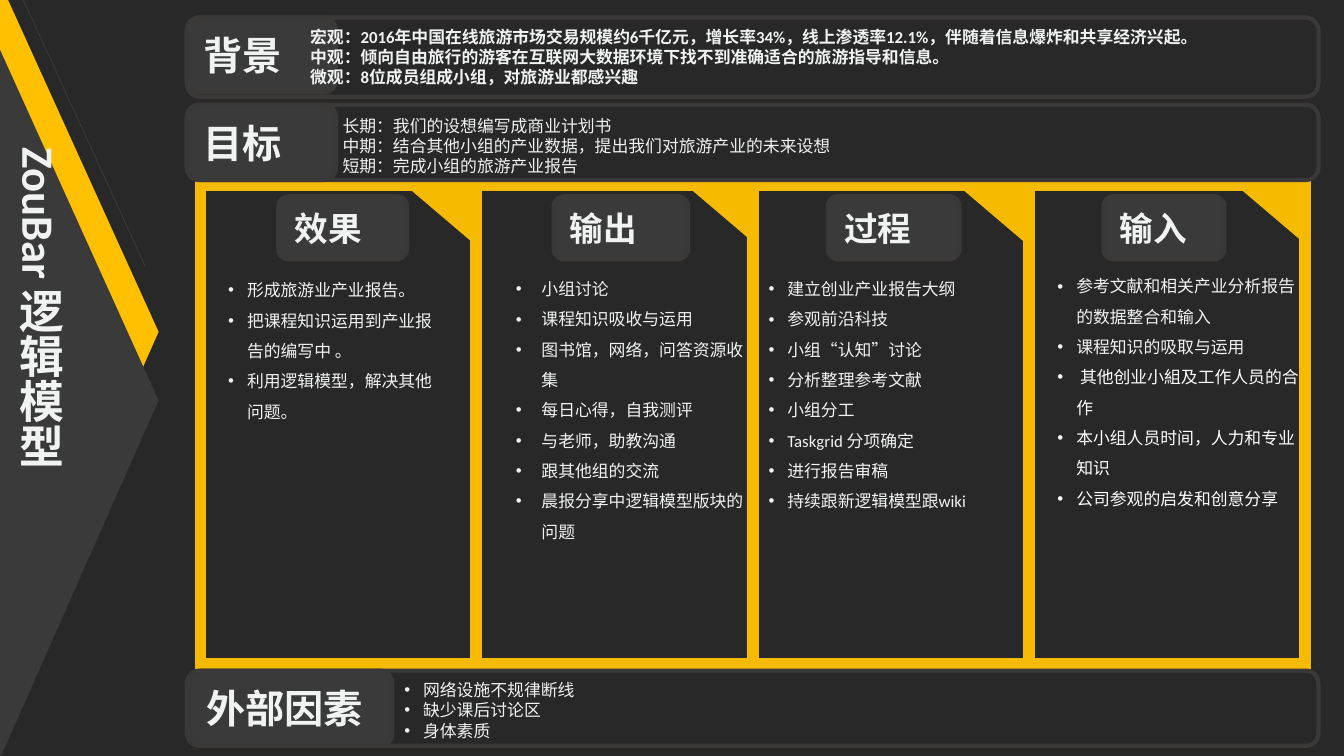
from lxml import etree
from pptx import Presentation
from pptx.dml.color import RGBColor
from pptx.enum.shapes import MSO_CONNECTOR, MSO_SHAPE
from pptx.enum.text import MSO_ANCHOR, MSO_AUTO_SIZE, PP_ALIGN
from pptx.oxml.ns import qn
from pptx.util import Inches, Pt

RECT = MSO_SHAPE.RECTANGLE
ROUND = MSO_SHAPE.ROUNDED_RECTANGLE
CORNER = MSO_SHAPE.RIGHT_TRIANGLE
LINE = MSO_CONNECTOR.STRAIGHT
TOP, MIDDLE = MSO_ANCHOR.TOP, MSO_ANCHOR.MIDDLE
GROW = MSO_AUTO_SIZE.SHAPE_TO_FIT_TEXT
LEFT, CENTER = PP_ALIGN.LEFT, PP_ALIGN.CENTER

COLORS = {
    "back": "282828", "gold": "F6BB00", "amber": "FFC001", "gray": "3A3A3A",
    "edge": "3B3838", "text": "F1F3F2", "white": "FFFFFF",
}

BANDS = [
    ("目标", 1.39, 0.78, 1.11, 0.56),
    ("背景", 1.39, 0.13, 1.11, 0.59),
    ("外部因素", 1.41, 4.99, 1.51, 0.56),
]

COLUMNS = [
    ("效果", (2.07, 0.96), (3.04, 1.39), (1.6, 1.96, 1.77, 1.24), 0.14, [
        "形成旅游业产业报告。",
        "把课程知识运用到产业报告的编写中\u00a0。",
        "利用逻辑模型，解决其他问题。",
    ]),
    ("输出", (4.12, 1), (5.13, 1.39), (3.74, 1.95, 1.89, 2.15), 0.19, [
        "小组讨论",
        "课程知识吸收与运用",
        "图书馆，网络，问答资源收集",
        "每日心得，自我测评",
        "与老师，助教沟通",
        "跟其他组的交流",
        "晨报分享中逻辑模型版块的问题",
    ]),
    ("过程", (6.16, 0.98), (7.15, 1.39), (5.62, 1.95, 2.14, 1.92), 0.14, [
        "建立创业产业报告大纲",
        "参观前沿科技",
        "小组“认知”讨论",
        "分析整理参考文献",
        "小组分工",
        "Taskgrid 分项确定",
        "进行报告审稿",
        "持续跟新逻辑模型跟wiki",
    ]),
    ("输入", (8.21, 0.9), (9.21, 1.38), (7.77, 1.93, 2.03, 1.92), 0.14, [
        "参考文献和相关产业分析报告的数据整合和输入",
        "课程知识的吸取与运用",
        " 其他创业小組及工作人员的合作",
        "本小组人员时间，人力和专业知识",
        "公司参观的启发和创意分享",
    ]),
]

CONTEXT = [
    "宏观：2016年中国在线旅游市场交易规模约6千亿元，增长率34%，线上渗透率12.1%，伴随着信息爆炸和共享经济兴起。",
    "中观：倾向自由旅行的游客在互联网大数据环境下找不到准确适合的旅游指导和信息。",
    "微观：8位成员组成小组，对旅游业都感兴趣",
]
GOALS = [
    "长期：我们的设想编写成商业计划书",
    "中期：结合其他小组的产业数据，提出我们对旅游产业的未来设想",
    "短期：完成小组的旅游产业报告",
]
FACTORS = ["网络设施不规律断线", "缺少课后讨论区", "身体素质"]


class Board:
    """Draws styled elements on one slide."""

    def __init__(self, slide):
        self.slide = slide
        self.shapes = slide.shapes
        self.font = "Calibri"
        slide.background.fill.solid()
        slide.background.fill.fore_color.rgb = self.color("back")

    def color(self, name):
        return RGBColor.from_string(COLORS[name])

    def style(self, para, size, bold=False, color="text"):
        para.font.name = self.font
        para.font.size = Pt(size)
        para.font.bold = bold
        para.font.color.rgb = self.color(color)

    def paint(self, shape, fill=None, line=None, width=1):
        shape.shadow.inherit = False
        if fill:
            shape.fill.solid()
            shape.fill.fore_color.rgb = self.color(fill)
        else:
            shape.fill.background()
        if line:
            shape.line.color.rgb = self.color(line)
            shape.line.width = Pt(width)
            edge = shape._element.spPr.find(qn("a:ln"))
            etree.SubElement(edge, qn("a:miter")).set("lim", "800000")
        else:
            shape.line.fill.background()

    def shape(self, kind, box, fill=None, line=None, width=1):
        shape = self.shapes.add_shape(kind, *map(Inches, box))
        self.paint(shape, fill, line, width)
        return shape

    def badge(self, label, box, size):
        shape = self.shape(ROUND, box, "gray", "edge", 2.25)
        frame = shape.text_frame
        frame.text = label
        frame.vertical_anchor = MIDDLE
        frame.paragraphs[0].alignment = LEFT
        self.style(frame.paragraphs[0], size, True)

    def outline(self, points, fill):
        places = [(Inches(x), Inches(y)) for x, y in points]
        maker = self.shapes.build_freeform(*places[0], scale=1.0)
        maker.add_line_segments(places[1:], close=True)
        self.paint(maker.convert_to_shape(), fill)

    def line(self, start, end, color, width):
        link = self.shapes.add_connector(LINE, *map(Inches, start + end))
        link.line.color.rgb = self.color(color)
        link.line.width = Pt(width)
        etree.SubElement(link._element.spPr, qn("a:effectLst"))

    def title(self, text, box):
        title = self.shapes.title
        title.left, title.top, title.width, title.height = map(Inches, box)
        frame = title.text_frame
        frame.text = text
        frame.word_wrap = True
        frame.auto_size = GROW
        frame.vertical_anchor = TOP
        frame._txBody.bodyPr.set("vert", "eaVert")
        frame.paragraphs[0].alignment = CENTER
        self.style(frame.paragraphs[0], 24, True)
        self.shapes._spTree.append(title._element)

    def text(self, lines, box, indent=0, space=None, bold=False):
        frame = self.shapes.add_textbox(*map(Inches, box)).text_frame
        frame.text = "\n".join(lines)
        frame.word_wrap = True
        frame.auto_size = GROW
        for para in frame.paragraphs:
            para.line_spacing = space
            if indent:
                props = para._p.get_or_add_pPr()
                props.set("marL", str(Inches(indent)))
                props.set("indent", str(-Inches(indent)))
                etree.SubElement(props, qn("a:buFont")).set("typeface", "Arial")
                etree.SubElement(props, qn("a:buChar")).set("char", "•")
            self.style(para, 9, bold)
        return frame


def main():
    deck = Presentation()
    deck.slide_width = Inches(10)
    deck.slide_height = deck.slide_width * 9 // 16
    board = Board(deck.slides.add_slide(deck.slide_layouts[5]))

    for i in reversed(range(len(COLUMNS))):
        left = 1.49 + 6.17 * i / 3
        board.shape(RECT, (left, 1.38, 2.05, 3.56), None, "gold", 6)
    for _, _, corner, *_ in COLUMNS:
        tip = board.shape(CORNER, (*corner, 0.47, 0.4), "gold", "gold")
        tip.rotation = 180

    for _, _, top, _, height in BANDS:
        board.shape(ROUND, (1.39, top, 8.42, height), None, "edge", 2.25)
    for label, left, top, width, _ in BANDS:
        board.badge(label, (left, top, width, 0.56), 21)

    board.outline([(0, 0), (0.06, 0), (1.18, 2.47), (0, 5.13)], "amber")
    board.outline([(0, 0.37), (1.18, 2.98), (0.01, 5.62), (0, 5.62)], "gray")
    board.line((1.08, 1.98), (0.17, -0.01), "gray", 0.5)
    board.title(" ZouBar 逻辑模型", (-0.01, 0.97, 0.61, 4))

    for label, (left, width), _, box, indent, items in COLUMNS:
        frame = board.text(items, box, indent, 1.5)
        board.badge(label, (left, 1.46, width, 0.47), 18)
    for para in frame.paragraphs[2:]:
        board.style(para, 9, color="white")

    board.text(CONTEXT, (2.21, 0.15, 7.27, 0.56), bold=True)
    board.text(FACTORS, (2.91, 5.01, 6.77, 0.56), 0.14)
    board.text(GOALS, (2.45, 0.81, 7.69, 0.56))
    deck.save("out.pptx")


if __name__ == "__main__":
    main()
